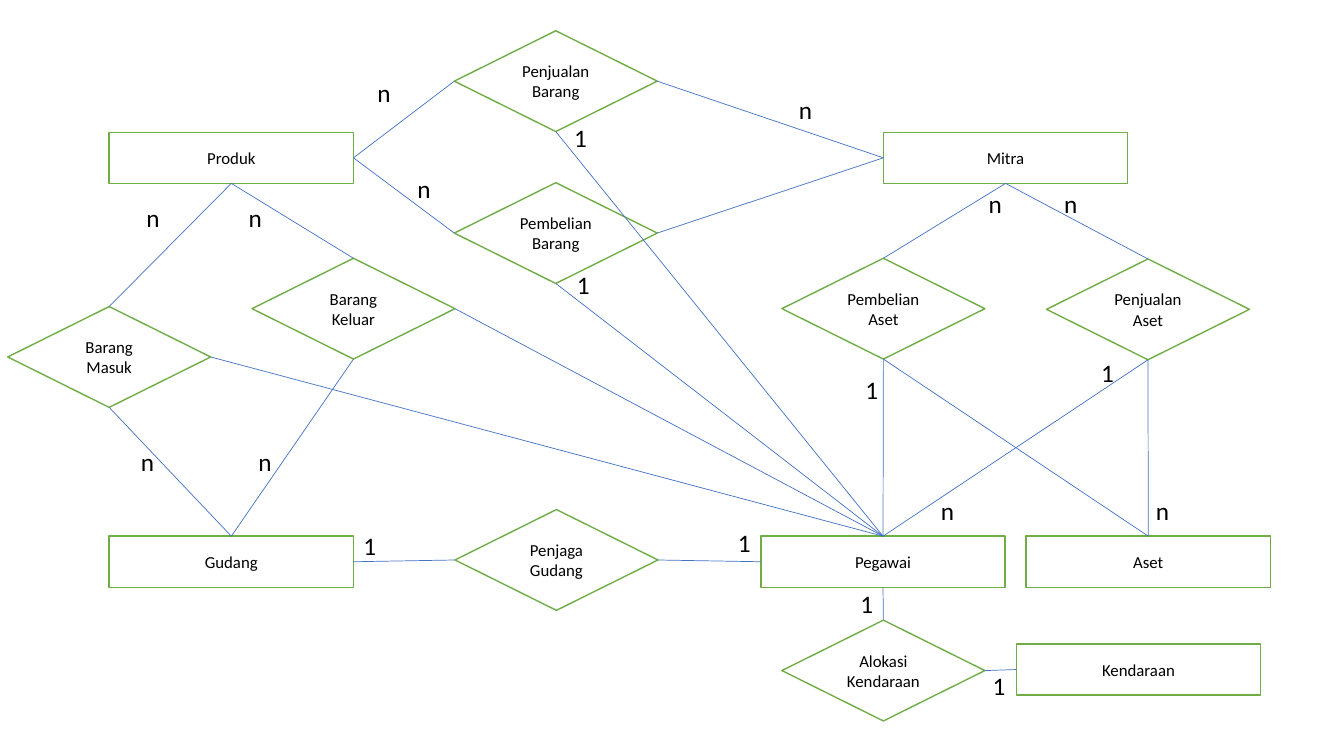
from lxml.etree import SubElement
from pptx import Presentation
from pptx.dml.color import RGBColor
from pptx.enum.shapes import MSO_CONNECTOR, MSO_SHAPE
from pptx.enum.text import MSO_ANCHOR, PP_ALIGN
from pptx.oxml.ns import qn
from pptx.util import Pt

WHITE = RGBColor(0xFF, 0xFF, 0xFF)
BLACK = RGBColor(0x00, 0x00, 0x00)
GREEN = RGBColor(0x70, 0xAD, 0x47)
BLUE = RGBColor(0x44, 0x72, 0xC4)
FONT = "Calibri"

ENTITY_SIZE = (174.5, 36.5)
RELATION_SIZE = (145, 72)
LABEL_SIZE = (24, 29)
TOP, LEFT, BOTTOM, RIGHT = range(4)

ENTITIES = {
    "Produk": (78, 94.5),
    "Mitra": (631, 94.5),
    "Gudang": (78, 383),
    "Pegawai": (543.5, 383),
    "Aset": (733, 383),
    "Kendaraan": (726, 460),
}
RELATIONS = {
    "Penjualan Barang": (324.5, 22),
    "Pembelian Barang": (324.5, 130.5),
    "Barang Masuk": (5.5, 219),
    "Barang Keluar": (180, 184.5),
    "Penjaga Gudang": (325, 364),
    "Pembelian Aset": (558.5, 184.5),
    "Penjualan Aset": (747.5, 185),
    "Alokasi Kendaraan": (558.5, 443),
}
LINKS = [
    ("Barang Masuk", TOP, "Produk", BOTTOM),
    ("Barang Keluar", TOP, "Produk", BOTTOM),
    ("Gudang", TOP, "Barang Keluar", BOTTOM),
    ("Barang Masuk", BOTTOM, "Gudang", TOP),
    ("Produk", RIGHT, "Penjualan Barang", LEFT),
    ("Produk", RIGHT, "Pembelian Barang", LEFT),
    ("Mitra", LEFT, "Penjualan Barang", RIGHT),
    ("Pembelian Barang", RIGHT, "Mitra", LEFT),
    ("Pembelian Aset", TOP, "Mitra", BOTTOM),
    ("Penjualan Aset", TOP, "Mitra", BOTTOM),
    ("Pegawai", TOP, "Penjualan Aset", BOTTOM),
    ("Pegawai", TOP, "Pembelian Aset", BOTTOM),
    ("Aset", TOP, "Penjualan Aset", BOTTOM),
    ("Aset", TOP, "Pembelian Aset", BOTTOM),
    ("Pegawai", BOTTOM, "Alokasi Kendaraan", TOP),
    ("Alokasi Kendaraan", RIGHT, "Kendaraan", LEFT),
    ("Pegawai", LEFT, "Penjaga Gudang", RIGHT),
    ("Penjaga Gudang", LEFT, "Gudang", RIGHT),
    ("Pegawai", TOP, "Penjualan Barang", BOTTOM),
    ("Pegawai", TOP, "Pembelian Barang", BOTTOM),
    ("Pegawai", TOP, "Barang Keluar", RIGHT),
    ("Pegawai", TOP, "Barang Masuk", RIGHT),
]
CARDINALITIES = {
    "n": [
        (262.5, 52), (563.5, 64), (291, 120), (665, 350.5), (97.5, 141),
        (93.5, 315.5), (170.5, 141), (177.5, 315.5), (818.5, 350.5),
        (753, 131), (699, 131),
    ],
    "1": [
        (403, 84), (252.5, 375), (520, 373), (607.5, 417), (702, 475),
        (405, 188.5), (611, 263.5), (779.5, 252),
    ],
}


def style_text(paragraph, size):
    paragraph.font.name = FONT
    paragraph.font.size = Pt(size)
    paragraph.font.color.rgb = BLACK


def add_node(slide, outline, name, left, top, size):
    node = slide.shapes.add_shape(outline, Pt(left), Pt(top), *map(Pt, size))
    node.shadow.inherit = False
    node.fill.solid()
    node.fill.fore_color.rgb = WHITE
    node.line.color.rgb = GREEN
    node.line.width = Pt(1)
    frame = node.text_frame
    frame.word_wrap = True
    frame.vertical_anchor = MSO_ANCHOR.MIDDLE
    frame.text = name
    frame.paragraphs[0].alignment = PP_ALIGN.CENTER
    style_text(frame.paragraphs[0], 12)
    return node


def add_link(slide, start, start_side, end, end_side):
    link = slide.shapes.add_connector(MSO_CONNECTOR.STRAIGHT, 0, 0, 0, 0)
    link.begin_connect(start, start_side)
    link.end_connect(end, end_side)
    link.line.color.rgb = BLUE
    link.line.width = Pt(0.5)
    SubElement(link._element.spPr, qn("a:effectLst"))


def add_cardinality(slide, symbol, left, top):
    label = slide.shapes.add_textbox(Pt(left), Pt(top), *map(Pt, LABEL_SIZE))
    label.text_frame.word_wrap = False
    label.text_frame.text = symbol
    style_text(label.text_frame.paragraphs[0], 18)


def draw_diagram(slide, left, top):
    nodes = {}
    for outline, size, places in (
        (MSO_SHAPE.DIAMOND, RELATION_SIZE, RELATIONS),
        (MSO_SHAPE.RECTANGLE, ENTITY_SIZE, ENTITIES),
    ):
        for name, (x, y) in places.items():
            nodes[name] = add_node(slide, outline, name, left + x, top + y, size)
    for start, start_side, end, end_side in LINKS:
        add_link(slide, nodes[start], start_side, nodes[end], end_side)
    for symbol, places in CARDINALITIES.items():
        for x, y in places:
            add_cardinality(slide, symbol, left + x, top + y)


def main():
    presentation = Presentation()
    presentation.slide_width = Pt(960)
    presentation.slide_height = Pt(540)
    slide = presentation.slides.add_slide(presentation.slide_layouts[6])
    draw_diagram(slide, 0, 0)
    presentation.save("out.pptx")


if __name__ == "__main__":
    main()
